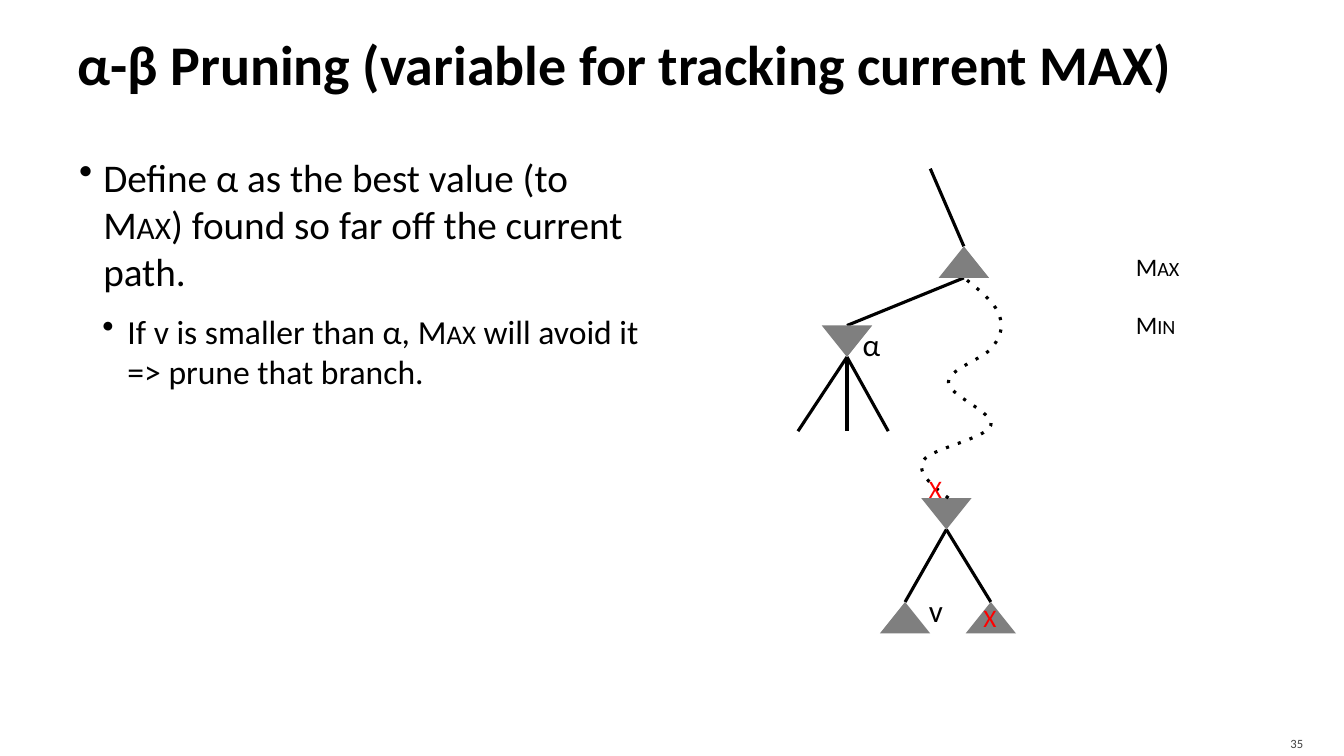
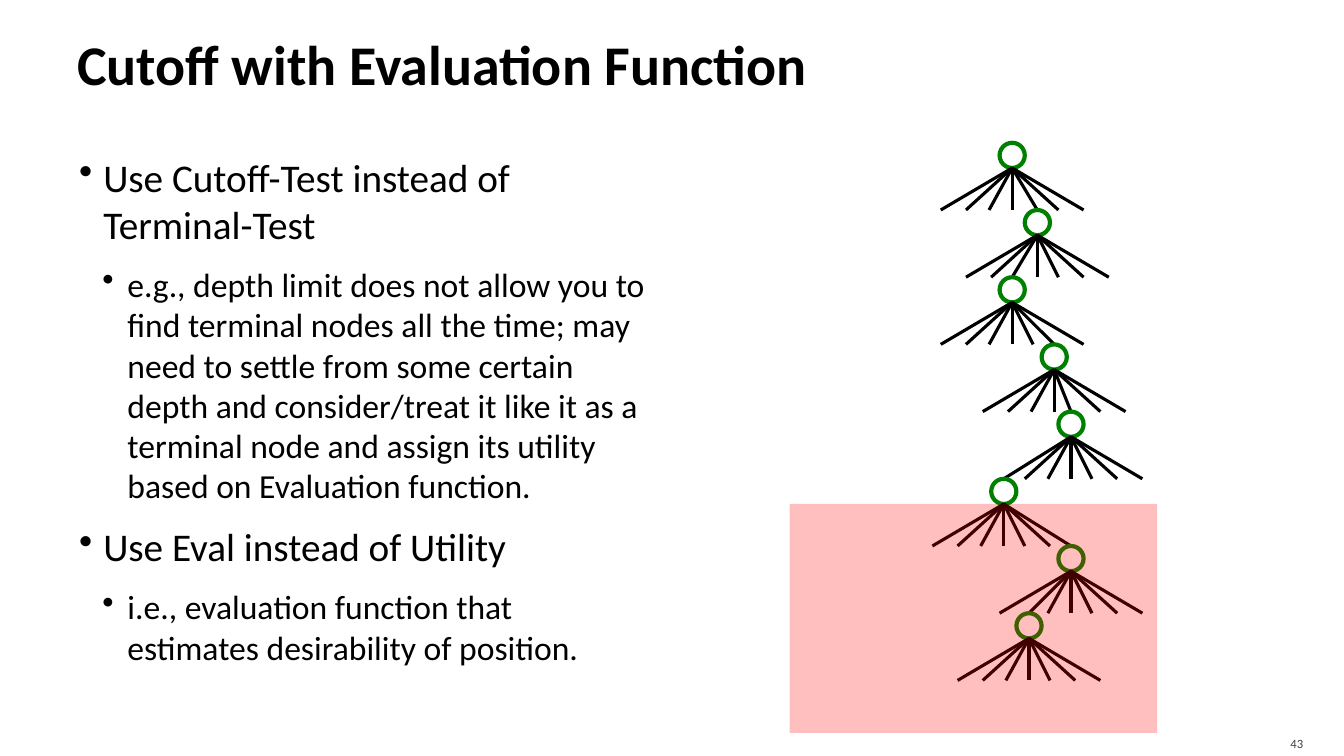
from dataclasses import dataclass
from itertools import pairwise

from lxml.etree import SubElement
from pptx import Presentation
from pptx.dml.color import RGBColor
from pptx.enum.shapes import MSO_CONNECTOR, MSO_SHAPE
from pptx.enum.text import MSO_ANCHOR, PP_ALIGN
from pptx.oxml.ns import qn
from pptx.util import Pt


@dataclass(frozen=True)
class Theme:
    font: str = "Calibri"
    ink: str = "000000"
    number_ink: str = "414141"
    node: str = "7F7F7F"
    pruned: str = "FF0000"
    open_node: str = "008000"
    title_size: float = 40
    body_sizes: tuple = (28, 24)
    value_size: float = 22.2
    label_size: float = 18
    number_size: float = 9
    edge: float = 2.25
    ring: float = 3


THEME = Theme()

# Bullets are (level, text); words between asterisks are small capitals.
PRUNING = {
    "title": "α-β Pruning (variable for tracking current MAX)",
    "number": "35",
    "bullets": [
        (0, "Define α as the best value (to *Max*) found so far off the current path."),
        (1, "If v is smaller than α, *Max* will avoid it => prune that branch."),
    ],
}
CUTOFF = {
    "title": "Cutoff with Evaluation Function",
    "number": "43",
    "bullets": [
        (0, "Use Cutoff-Test instead of Terminal-Test"),
        (1, "e.g., depth limit does not allow you to find terminal nodes all the time; "
            "may need to settle from some certain depth and consider/treat it like it as a "
            "terminal node and assign its utility based on Evaluation function."),
        (0, "Use Eval instead of Utility"),
        (1, "i.e., evaluation function that estimates desirability of position."),
    ],
}

# Game tree: node name -> (centre x, top, points up)
NODE_W, NODE_H = 36, 22.5
GAME_NODES = {
    "root": (688.5, 176, True),
    "explored": (605, 232.5, False),
    "current": (676, 355.75, False),
    "leaf": (646.5, 430, True),
    "pruned leaf": (707.75, 430, True),
}
GAME_EDGES = [("root", "explored"), ("current", "leaf"), ("current", "pruned leaf")]
ROOT_ENTRY = (664.5, 120.5)
EXPLORED_ENDS, EXPLORED_END_Y = (570, 605, 634.5), 308
# Start point, then cubic segments of two controls and an end
CURRENT_PATH = [
    (677.5, 355.7),
    (666, 347, 654.5, 337.7, 659.5, 329), (664.6, 320.4, 704.9, 313.2, 707.8, 303.8),
    (710.6, 294.5, 676.8, 282.2, 677.5, 272.9), (677.5, 263.5, 702.7, 256.3, 708.5, 248.4),
    (715, 240.5, 717.1, 232.6, 713.5, 224.6), (710.6, 216, 699.8, 207.4, 689, 198.7),
]
CURVE_STEPS = 16
# Text, box, colour, size, line spacing
TREE_LABELS = [
    ("α", (607.7, 236.2, 29.5, 23.8), THEME.ink, THEME.value_size, 0.8),
    ("v", (653.8, 426.2, 29.5, 23.8), THEME.ink, THEME.value_size, 0.8),
    ("X", (656.6, 337.7, 23, 22.3), THEME.pruned, THEME.label_size, 1),
    ("X", (695.5, 429.8, 23, 22.3), THEME.pruned, THEME.label_size, 1),
]
PLAYERS = [("*Max*", 175.7), ("*Min*", 217.5)]

# Search path: centre of the expanded node at each depth
PATH_CENTRES = [723, 741, 723, 753, 765, 717, 765, 735]
PATH_TOP, DEPTH_STEP, RING_SIZE = 102, 48, 18
FAN_OFFSETS = [-51, -33, -16.5, 0, 15, 33, 51]
CUTOFF_AREA = (564, 360, 262.5, 163.5)


def rgb(colour):
    return RGBColor.from_string(colour)


def box(values):
    return [Pt(value) for value in values]


def write(paragraph, text, size, colour, bold=False):
    """Fill a paragraph, turning *words* into small capitals."""
    for index, piece in enumerate(text.split("*")):
        if not piece:
            continue
        run = paragraph.add_run()
        run.text = piece
        font = run.font
        font.name, font.size, font.bold = THEME.font, Pt(size), bold
        font.color.rgb = rgb(colour)
        if index % 2:
            run._r.get_or_add_rPr().set("cap", "small")


def add_frame(slide, place, insets, anchor=MSO_ANCHOR.MIDDLE, wrap=True):
    frame = slide.shapes.add_textbox(*box(place)).text_frame
    frame.word_wrap, frame.vertical_anchor = wrap, anchor
    (frame.margin_left, frame.margin_top,
     frame.margin_right, frame.margin_bottom) = box(insets)
    return frame


def add_bullet(paragraph, level):
    properties = paragraph._p.get_or_add_pPr()
    margin, indent = ((18.7, -17.3), (36, -18))[level]
    properties.set("marL", str(Pt(margin)))
    properties.set("indent", str(Pt(indent)))
    SubElement(properties, qn("a:buChar")).set("char", "•")


def add_base(deck, content):
    """Add a slide with its title, bullets and number."""
    slide = deck.slides.add_slide(deck.slide_layouts[6])
    title = add_frame(slide, (48, 12, 864, 66), (7.2, 3.6, 3.6, 3.6))
    write(title.paragraphs[0], content["title"], THEME.title_size, THEME.ink, True)

    body = add_frame(slide, (48, 102, 424, 433.5), (7.2, 7.2, 7.2, 3.6), MSO_ANCHOR.TOP)
    for index, (level, text) in enumerate(content["bullets"]):
        paragraph = body.add_paragraph() if index else body.paragraphs[0]
        add_bullet(paragraph, level)
        paragraph.level = level
        paragraph.space_before = Pt(12 if index else 0)
        write(paragraph, text, THEME.body_sizes[level], THEME.ink)

    number = add_frame(slide, (861, 518.4, 77, 21.6), (7.2, 3.6, 7.2, 0)).paragraphs[0]
    number.alignment = PP_ALIGN.RIGHT
    write(number, content["number"], THEME.number_size, THEME.number_ink)
    return slide


def add_edge(slide, start, end):
    edge = slide.shapes.add_connector(MSO_CONNECTOR.STRAIGHT, *box(start + end))
    edge.line.color.rgb, edge.line.width = rgb(THEME.ink), Pt(THEME.edge)
    SubElement(edge.element.spPr, qn("a:effectLst"))


def add_solid(slide, kind, place, colour):
    solid = slide.shapes.add_shape(kind, *box(place))
    solid.shadow.inherit = False
    solid.fill.solid()
    solid.fill.fore_color.rgb = rgb(colour)
    solid.line.fill.background()
    return solid


def top_of(name):
    return GAME_NODES[name][:2]


def bottom_of(name):
    x, top, _ = GAME_NODES[name]
    return x, top + NODE_H


def curve_points(start, segments):
    yield start
    for x1, y1, x2, y2, x3, y3 in segments:
        corners = (start, (x1, y1), (x2, y2), (x3, y3))
        for step in range(1, CURVE_STEPS + 1):
            t = step / CURVE_STEPS
            weights = ((1 - t) ** 3, 3 * t * (1 - t) ** 2, 3 * t * t * (1 - t), t ** 3)
            yield tuple(sum(w * corner[axis] for w, corner in zip(weights, corners))
                        for axis in (0, 1))
        start = (x3, y3)


def add_dotted_path(slide):
    first, *rest = [tuple(box(p)) for p in curve_points(CURRENT_PATH[0], CURRENT_PATH[1:])]
    builder = slide.shapes.build_freeform(*first)
    builder.add_line_segments(rest, close=False)
    path_curve = builder.convert_to_shape()
    path_curve.shadow.inherit = False
    path_curve.fill.background()
    path_curve.line.color.rgb, path_curve.line.width = rgb(THEME.ink), Pt(THEME.edge)
    outline = path_curve.element.spPr.find(qn("a:ln"))
    SubElement(outline, qn("a:prstDash")).set("val", "dot")


def add_game_tree(slide):
    add_edge(slide, ROOT_ENTRY, top_of("root"))
    for parent, child in GAME_EDGES:
        add_edge(slide, bottom_of(parent), top_of(child))
    for x in EXPLORED_ENDS:
        add_edge(slide, bottom_of("explored"), (x, EXPLORED_END_Y))
    for x, top, points_up in GAME_NODES.values():
        place = (x - NODE_W / 2, top, NODE_W, NODE_H)
        node = add_solid(slide, MSO_SHAPE.ISOSCELES_TRIANGLE, place, THEME.node)
        node.rotation = 0 if points_up else 180
    add_dotted_path(slide)
    for text, place, colour, size, spacing in TREE_LABELS:
        label = add_frame(slide, place, (0, 0, 0, 0)).paragraphs[0]
        label.alignment, label.line_spacing = PP_ALIGN.CENTER, spacing
        write(label, text, size, colour)
    for text, top in PLAYERS:
        player = add_frame(slide, (804.2, top, 46, 29), (7.2, 3.6, 7.2, 3.6),
                           MSO_ANCHOR.TOP, wrap=False)
        write(player.paragraphs[0], text, THEME.label_size, THEME.ink)


def fan_ends(centre, following):
    """Branch ends, with the nearest one moved onto the following node."""
    ends = [centre + offset for offset in FAN_OFFSETS]
    if following is not None:
        nearest = min(range(len(ends)), key=lambda i: abs(ends[i] - following))
        ends[nearest] = following
    return ends


def add_search_path(slide):
    for depth, (centre, following) in enumerate(pairwise(PATH_CENTRES + [None])):
        top = PATH_TOP + depth * DEPTH_STEP
        ring = slide.shapes.add_shape(
            MSO_SHAPE.OVAL, *box((centre - RING_SIZE / 2, top, RING_SIZE, RING_SIZE)))
        ring.shadow.inherit = False
        ring.fill.background()
        ring.line.color.rgb, ring.line.width = rgb(THEME.open_node), Pt(THEME.ring)
        for end in fan_ends(centre, following):
            add_edge(slide, (centre, top + RING_SIZE), (end, top + DEPTH_STEP))
    area = add_solid(slide, MSO_SHAPE.RECTANGLE, CUTOFF_AREA, THEME.pruned)
    colour = area.element.spPr.find(qn("a:solidFill")).find(qn("a:srgbClr"))
    SubElement(colour, qn("a:alpha")).set("val", "25000")


def main():
    deck = Presentation()
    deck.slide_width, deck.slide_height = Pt(960), Pt(540)
    add_game_tree(add_base(deck, PRUNING))
    add_search_path(add_base(deck, CUTOFF))
    deck.save("out.pptx")


if __name__ == "__main__":
    main()
